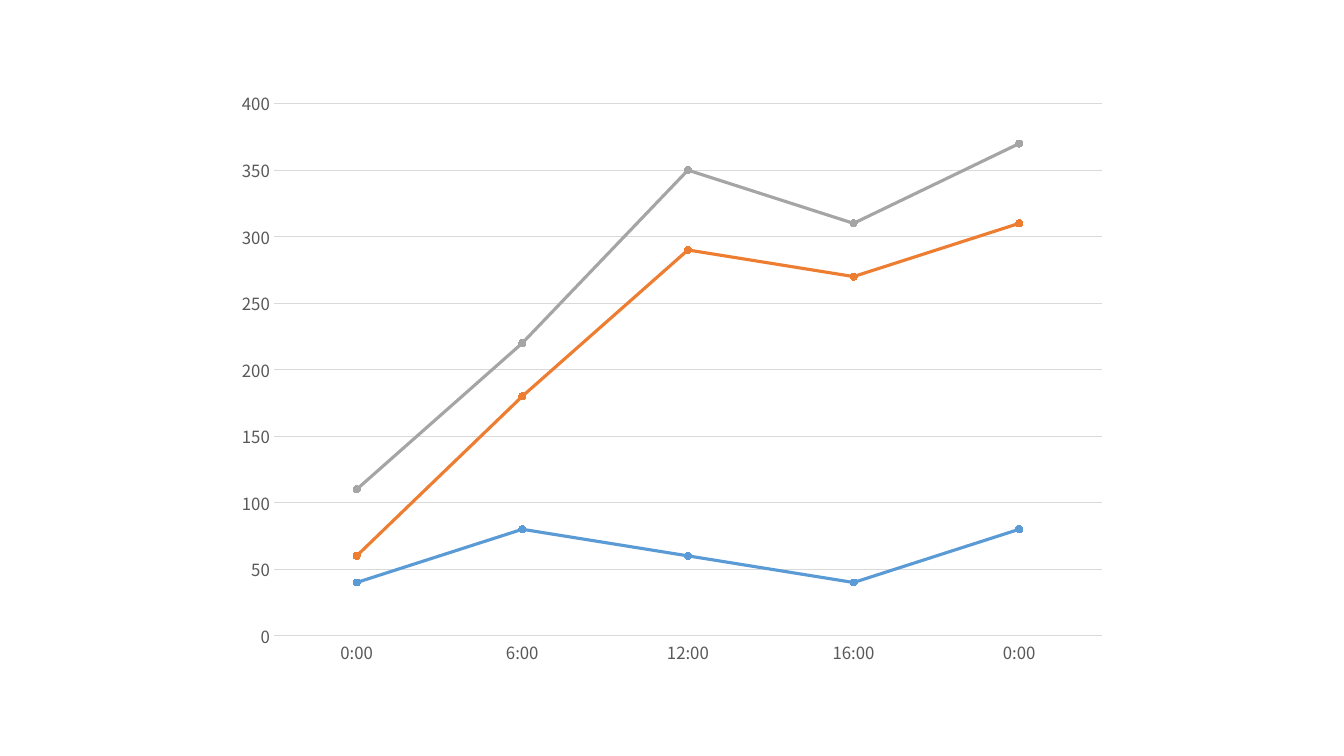
from pptx import Presentation, util as u
from pptx.chart.data import CategoryChartData
from pptx.dml.color import RGBColor
from pptx.enum import chart as ch

COLORS = {"blue": "5B9BD5", "orange": "ED7D31", "gray": "A5A5A5",
          "grid": "D9D9D9", "label": "595959"}
TIMES = ["0:00", "6:00", "12:00", "16:00", "0:00"]
SERIES = [("Series 1", "blue", (40, 80, 60, 40, 80)),
          ("Series 2", "orange", (20, 100, 230, 230, 230)),
          ("Series 3", "gray", (50, 40, 60, 40, 60))]


class Deck:
    font = "Noto Sans CJK SC"

    def __init__(self, prs):
        self.s = prs.slides.add_slide(prs.slide_layouts[6])

    def color(self, name):
        return RGBColor.from_string(COLORS[name])

    def line(self, fmt, color, width):
        fmt.line.color.rgb = self.color(color)
        fmt.line.width = u.Pt(width)

    def text(self, font, size, color):
        for key, value in {"name": self.font, "size": u.Pt(size), "bold": False}.items():
            setattr(font, key, value)
        font.color.rgb = self.color(color)

    def axis(self, axis, **values):
        values = {"major_tick_mark": ch.XL_TICK_MARK.NONE,
                  "minor_tick_mark": ch.XL_TICK_MARK.NONE, **values}
        for key, value in values.items():
            setattr(axis, key, value)
        self.text(axis.tick_labels.font, 12, "label")

    def stacked_lines(self, x, y, w, h, cats, series):
        data = CategoryChartData()
        data.categories = cats
        for name, _, values in series:
            data.add_series(name, values)
        chart = self.s.shapes.add_chart(
            ch.XL_CHART_TYPE.LINE_MARKERS_STACKED,
            u.Pt(x), u.Pt(y), u.Pt(w), u.Pt(h), data).chart
        chart.has_title = chart.has_legend = False
        self.text(chart.font, 10, "label")
        chart.plots[0].vary_by_categories = False
        self.axis(chart.category_axis)
        self.line(chart.category_axis.format, "grid", 0.75)
        self.axis(chart.value_axis, minimum_scale=0, maximum_scale=400,
                  major_unit=50, has_major_gridlines=True)
        chart.value_axis.format.line.fill.background()
        self.line(chart.value_axis.major_gridlines.format, "grid", 0.75)
        for ser, (_, color, _) in zip(chart.plots[0].series, series):
            ser.smooth = False
            self.line(ser.format, color, 2.25)
            ser.marker.style = ch.XL_MARKER_STYLE.CIRCLE
            ser.marker.size = 5
            ser.marker.format.fill.solid()
            ser.marker.format.fill.fore_color.rgb = self.color(color)
            self.line(ser.marker.format, color, 0.75)


def main():
    prs = Presentation()
    prs.slide_width, prs.slide_height = u.Pt(960), u.Pt(540)
    Deck(prs).stacked_lines(160, 56.5, 640, 427, TIMES, SERIES)
    prs.save("out.pptx")


if __name__ == "__main__":
    main()
